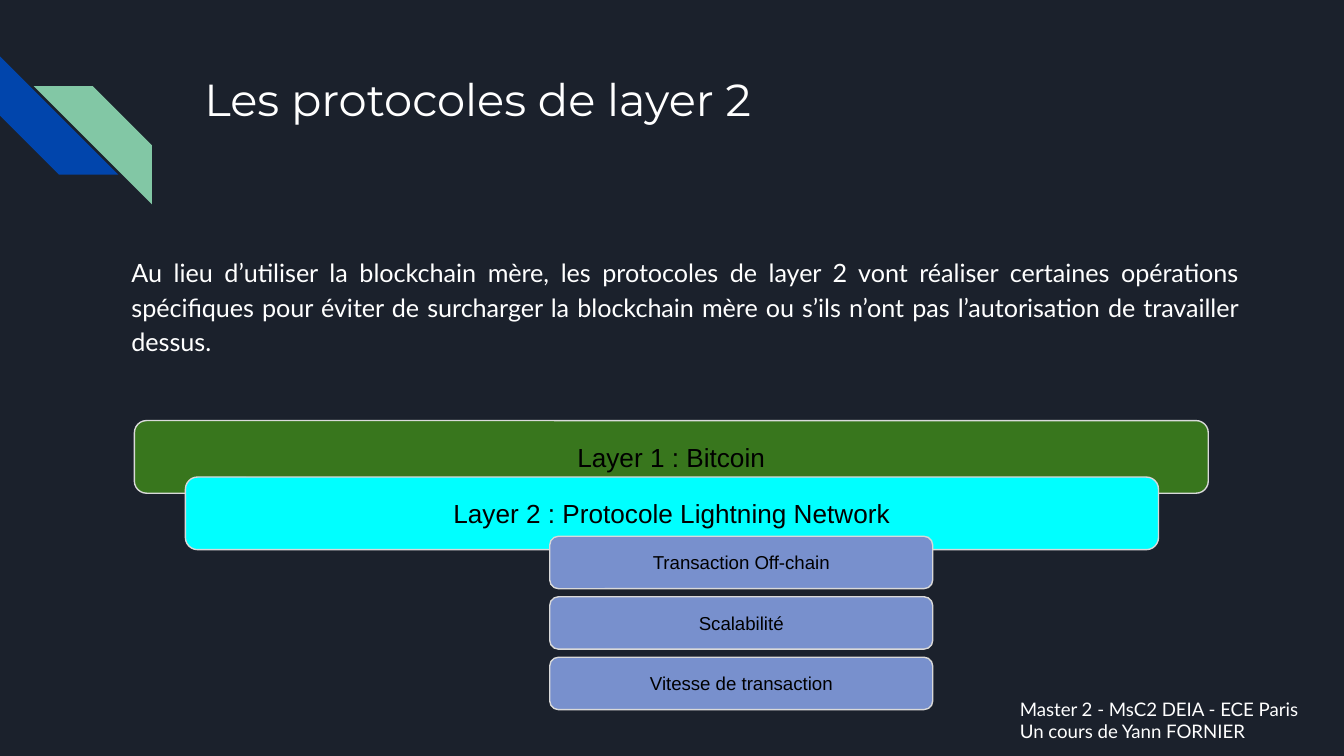
from pptx import Presentation
from pptx.dml.color import RGBColor
from pptx.enum import shapes, text
from pptx.util import Inches, Pt

NIGHT = RGBColor(0x1B, 0x21, 0x2C)
WHITE = RGBColor(0xFF, 0xFF, 0xFF)
BLACK = RGBColor(0x00, 0x00, 0x00)
BLUE = RGBColor(0x01, 0x45, 0xAC)
MINT = RGBColor(0x82, 0xC7, 0xA5)
GREEN = RGBColor(0x38, 0x76, 0x1D)
CYAN = RGBColor(0x00, 0xFF, 0xFF)
PERIWINKLE = RGBColor(0x78, 0x90, 0xCD)
OUTLINE = RGBColor(0xD9, 0xD9, 0xD9)

LEFT = text.PP_ALIGN.LEFT
CENTER = text.PP_ALIGN.CENTER
JUSTIFY = text.PP_ALIGN.JUSTIFY
TOP = text.MSO_ANCHOR.TOP
MIDDLE = text.MSO_ANCHOR.MIDDLE

FEATURES = ["Transaction Off-chain", "Scalabilité", "Vitesse de transaction"]
FEATURE_TOP, FEATURE_STEP = 3.99, 0.45


def write(shape, wording, *, size, font, color=WHITE, align=LEFT, anchor=TOP,
          spacing=None):
    """Fill a shape with text, one paragraph for each line of wording."""
    frame = shape.text_frame
    frame.text = wording
    frame.word_wrap = True
    frame.auto_size = text.MSO_AUTO_SIZE.NONE
    frame.vertical_anchor = anchor
    frame.margin_left = frame.margin_right = Inches(0.1)
    frame.margin_top = frame.margin_bottom = Inches(0.1)
    for paragraph in frame.paragraphs:
        paragraph.alignment = align
        paragraph.line_spacing = spacing
        paragraph.font.size = Pt(size)
        paragraph.font.name = font
        paragraph.font.color.rgb = color


def add_title(slide, wording):
    title = slide.shapes.title
    title.left, title.top = Inches(1.42), Inches(0.43)
    title.width, title.height = Inches(7.7), Inches(1)
    write(title, wording, size=24, font="Montserrat")


def add_text(slide, wording, left, top, width, height, **style):
    box = slide.shapes.add_textbox(
        Inches(left), Inches(top), Inches(width), Inches(height))
    write(box, wording, font="Lato", **style)


def add_stripe(slide, left, top, color):
    stripe = slide.shapes.add_shape(
        shapes.MSO_SHAPE.DIAGONAL_STRIPE,
        Inches(left), Inches(top), Inches(0.88), Inches(0.88))
    stripe.shadow.inherit = False
    stripe.fill.solid()
    stripe.fill.fore_color.rgb = color
    stripe.line.fill.background()
    return stripe


def add_block(slide, wording, left, top, width, height, color, size):
    block = slide.shapes.add_shape(
        shapes.MSO_SHAPE.ROUNDED_RECTANGLE,
        Inches(left), Inches(top), Inches(width), Inches(height))
    block.shadow.inherit = False
    block.fill.solid()
    block.fill.fore_color.rgb = color
    block.line.color.rgb = OUTLINE
    block.line.width = Pt(0.75)
    write(block, wording, size=size, font="Arial", color=BLACK,
          align=CENTER, anchor=MIDDLE)


def main():
    deck = Presentation()
    deck.slide_width = Inches(10)
    deck.slide_height = Inches(10 * 9 / 16)
    slide = deck.slides.add_slide(deck.slide_layouts[5])
    slide.background.fill.solid()
    slide.background.fill.fore_color.rgb = NIGHT

    add_stripe(slide, 0, 0.42, BLUE).rotation = 270
    mint_stripe = add_stripe(slide, 0.25, 0.64, MINT)
    mint_stripe.element.spPr.xfrm.set("flipH", "1")

    add_title(slide, "Les protocoles de layer 2")
    add_text(
        slide,
        "Au lieu d’utiliser la blockchain mère, les protocoles de layer 2 "
        "vont réaliser certaines opérations spécifiques pour éviter de "
        "surcharger la blockchain mère ou s’ils n’ont pas l’autorisation de "
        "travailler dessus.",
        0.88, 1.78, 8.44, 0.95, size=13.5, align=JUSTIFY, spacing=1.15)

    add_block(slide, "Layer 1 : Bitcoin", 1, 3.13, 7.99, 0.54, GREEN, 14)
    add_block(slide, "Layer 2 : Protocole Lightning Network",
              1.38, 3.55, 7.24, 0.54, CYAN, 14)
    for row, feature in enumerate(FEATURES):
        add_block(slide, feature, 4.09, FEATURE_TOP + row * FEATURE_STEP,
                  2.85, 0.39, PERIWINKLE, 10)

    add_text(slide, "Master 2 - MsC2 DEIA - ECE Paris\nUn cours de Yann FORNIER",
             7.49, 5.09, 2.51, 0.54, size=10)
    deck.save("out.pptx")


if __name__ == "__main__":
    main()
